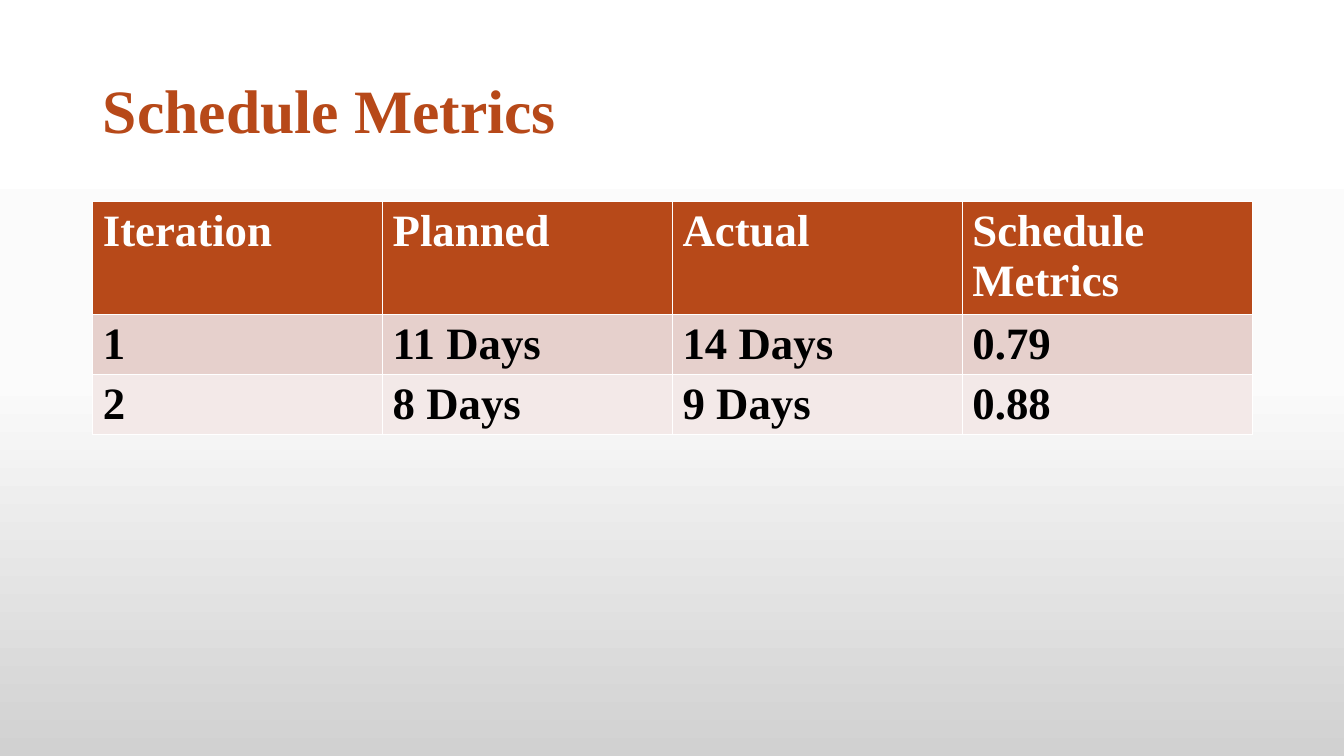
import copy

import lxml.etree
import pptx
import pptx.dml.color
import pptx.enum.text
import pptx.oxml.ns
import pptx.util

Inches, Pt = pptx.util.Inches, pptx.util.Pt
RGBColor = pptx.dml.color.RGBColor
qn = pptx.oxml.ns.qn

# Content
TITLE = "Schedule Metrics"
ROWS = [
    ("Iteration", "Planned", "Actual", "Schedule Metrics"),
    ("1", "11 Days", "14 Days", "0.79"),
    ("2", "8 Days", "9 Days", "0.88"),
]

# Look
FONT = "Times New Roman"
RUST = RGBColor(0xB7, 0x49, 0x19)
WHITE = RGBColor(0xFF, 0xFF, 0xFF)
BLACK = RGBColor(0x00, 0x00, 0x00)
OUTLINE = RGBColor(0xE7, 0xE6, 0xE6)
BACKGROUND = [
    (0, WHITE),
    (0.5, RGBColor(0xFB, 0xFB, 0xFB)),
    (1, RGBColor(0xD1, 0xD1, 0xD1)),
]
# Height, fill and text colour of each table row
ROW_STYLES = [
    (1.12, RUST, WHITE),
    (0.59, RGBColor(0xE6, 0xD0, 0xCC), BLACK),
    (0.59, RGBColor(0xF3, 0xE9, 0xE8), BLACK),
]
LEFT, WIDTH = Inches(0.92), Inches(11.5)


def set_font(font, size, color):
    font.name, font.size, font.bold = FONT, Pt(size), True
    font.color.rgb = color


deck = pptx.Presentation()
deck.slide_width, deck.slide_height = Inches(13.33), Inches(7.5)
slide = deck.slides.add_slide(deck.slide_layouts[5])

# Background gradient, top to bottom, with a third stop added
fill = slide.background.fill
fill.gradient()
fill.gradient_angle = 270
stop_list = slide.element.find(".//" + qn("a:gsLst"))
stop_list.append(copy.deepcopy(stop_list[-1]))
for stop, (position, color) in zip(fill.gradient_stops, BACKGROUND):
    stop.position = position
    stop.color.rgb = color

# Title
title = slide.shapes.title
title.left, title.top = LEFT, Inches(0.4)
title.width, title.height = WIDTH, Inches(1.45)
title.line.color.rgb = WHITE
title.line.width = Pt(0.75)
title.text_frame.vertical_anchor = pptx.enum.text.MSO_ANCHOR.MIDDLE
para = title.text_frame.paragraphs[0]
para.alignment = pptx.enum.text.PP_ALIGN.LEFT
para.line_spacing = 0.9
span = para.add_run()
span.text = TITLE
set_font(span.font, 44, RUST)

# Thin outline around the title letters
letter_line = lxml.etree.Element(qn("a:ln"), w=str(Pt(0.75)))
line_fill = lxml.etree.SubElement(letter_line, qn("a:solidFill"))
lxml.etree.SubElement(line_fill, qn("a:srgbClr"), val=str(OUTLINE))
span.font.fill  # the text fill stays after the outline
span._r.get_or_add_rPr().insert(0, letter_line)

# Table: the default style supplies the white cell borders
table_height = Inches(sum(height for height, _, _ in ROW_STYLES))
table = slide.shapes.add_table(
    len(ROWS), len(ROWS[0]), LEFT, Inches(2), WIDTH, table_height
).table
for row, texts, (height, row_fill, text_color) in zip(table.rows, ROWS, ROW_STYLES):
    row.height = Inches(height)
    for cell, text in zip(row.cells, texts):
        cell.text = text
        cell.fill.solid()
        cell.fill.fore_color.rgb = row_fill
        set_font(cell.text_frame.paragraphs[0].font, 32, text_color)

deck.save("out.pptx")
